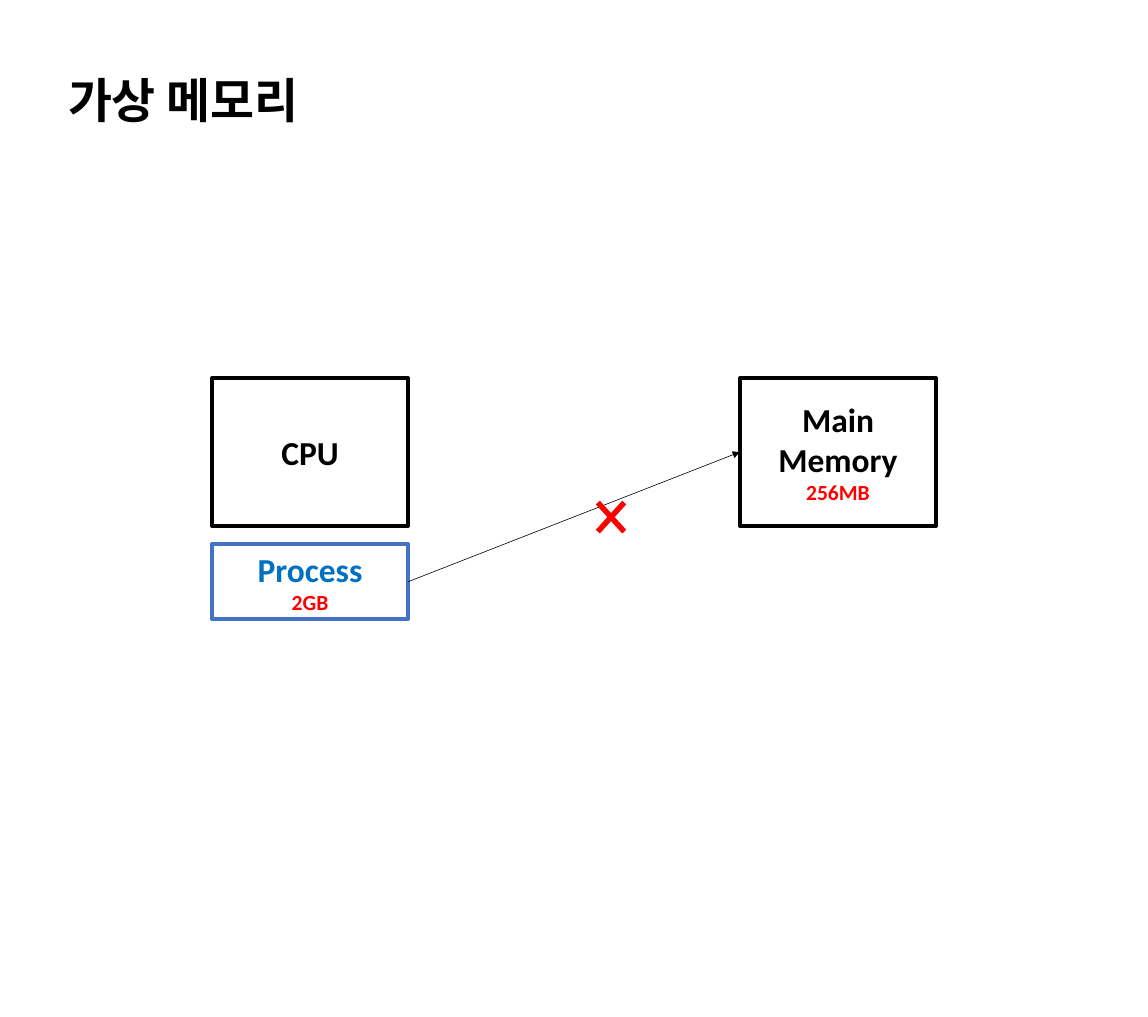
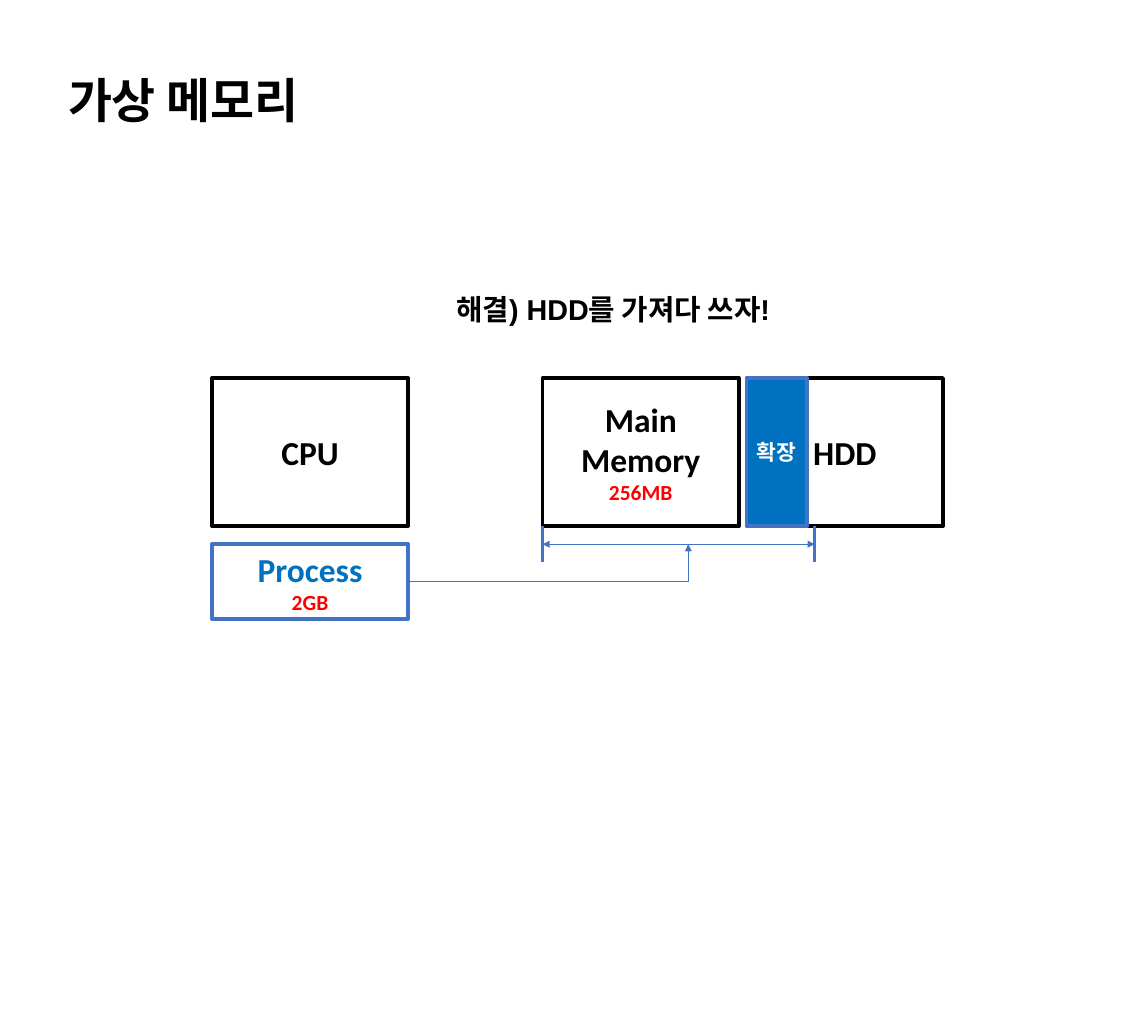
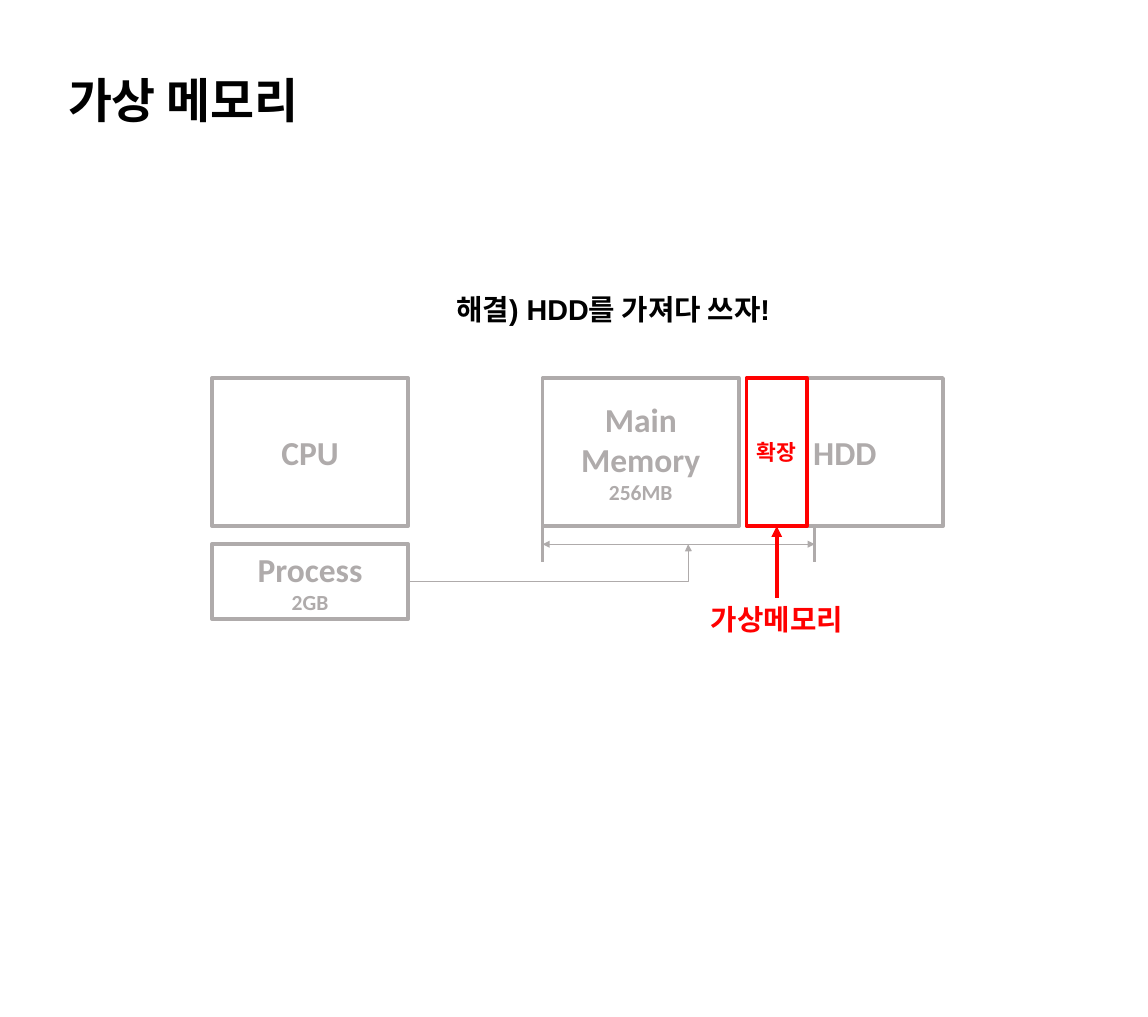
from lxml import etree
from pptx import Presentation
from pptx.dml.color import RGBColor
from pptx.enum.shapes import MSO_CONNECTOR, MSO_SHAPE
from pptx.enum.text import MSO_ANCHOR, MSO_AUTO_SIZE, PP_ALIGN
from pptx.oxml.ns import qn
from pptx.util import Inches, Pt

RECTANGLE, CROSS = MSO_SHAPE.RECTANGLE, MSO_SHAPE.MATH_MULTIPLY
STRAIGHT, ELBOW = MSO_CONNECTOR.STRAIGHT, MSO_CONNECTOR.ELBOW
LEFT, CENTER = PP_ALIGN.LEFT, PP_ALIGN.CENTER
TOP, MIDDLE = MSO_ANCHOR.TOP, MSO_ANCHOR.MIDDLE
FIT_SHAPE = MSO_AUTO_SIZE.SHAPE_TO_FIT_TEXT

COLORS = {"black": "000000", "white": "FFFFFF", "red": "FF0000",
          "blue": "0070C0", "outline": "4472C4", "gray": "AFABAB"}
# Colour of each role in the diagram
VIVID = {"frame": "black", "name": "black", "amount": "red", "process": "blue",
         "link": "outline", "extension_fill": "blue",
         "extension_line": "outline", "extension_text": "white"}
FADED = {**dict.fromkeys(VIVID, "gray"), "extension_fill": None,
         "extension_line": "red", "extension_text": "red"}

THICK, THIN = 3, 0.5
NAME_SIZE, AMOUNT_SIZE = 28, 18

# Boxes are (left, top, width, height) in inches
TITLE_BOX = (0.69, 0.77, 3.13, 0.77)
NOTE_BOX = (5, 3.34, 4.24, 0.5)
BLOCK_WIDTH, BLOCK_HEIGHT = 2.28, 1.72
BLOCK_TOP = 4.39
CPU_BOX = (2.46, BLOCK_TOP, BLOCK_WIDTH, BLOCK_HEIGHT)
FAR_MEMORY_BOX = (8.59, BLOCK_TOP, BLOCK_WIDTH, BLOCK_HEIGHT)
MEMORY_BOX = (6.3, BLOCK_TOP, BLOCK_WIDTH, BLOCK_HEIGHT)
HDD_BOX = (8.67, BLOCK_TOP, BLOCK_WIDTH, BLOCK_HEIGHT)
EXTENSION_BOX = (8.67, BLOCK_TOP, 0.7, BLOCK_HEIGHT)


def rgb(color):
    return RGBColor.from_string(COLORS[color])


def write(shape, lines, alignment=CENTER, anchor=MIDDLE, font="Calibri", **frame_format):
    """Write (text, size, color) lines, one paragraph each, in bold."""
    frame = shape.text_frame
    for name, value in {"vertical_anchor": anchor, **frame_format}.items():
        setattr(frame, name, value)
    for index, (text, size, color) in enumerate(lines):
        paragraph = frame.add_paragraph() if index else frame.paragraphs[0]
        paragraph.alignment = alignment
        run = paragraph.add_run()
        run.text = text
        for name, value in {"name": font, "size": Pt(size), "bold": True}.items():
            setattr(run.font, name, value)
        run.font.color.rgb = rgb(color)


def add_box(slide, box, preset=RECTANGLE, fill=None, line=None):
    shape = slide.shapes.add_shape(preset, *map(Inches, box))
    shape.shadow.inherit = False
    if fill:
        shape.fill.solid()
        shape.fill.fore_color.rgb = rgb(fill)
    else:
        shape.fill.background()
    if line:
        shape.line.color.rgb = rgb(line)
        shape.line.width = Pt(THICK)
    else:
        shape.line.fill.background()
    return shape


def add_line(slide, start, end, color, width, kind=STRAIGHT, arrows=()):
    """Draw a line; arrows names its ends: headEnd (start) and tailEnd (end)."""
    connector = slide.shapes.add_connector(kind, *map(Inches, (*start, *end)))
    connector.line.color.rgb = rgb(color)
    connector.line.width = Pt(width)
    properties = connector._element.spPr
    for arrow in arrows:
        etree.SubElement(properties.find(qn("a:ln")), qn(f"a:{arrow}"), type="triangle")
    etree.SubElement(properties, qn("a:effectLst"))
    return connector


def add_caption(slide, box, text, color):
    caption = slide.shapes.add_textbox(*map(Inches, box))
    write(caption, [(text, 24, color)], anchor=TOP, font="Arial",
          word_wrap=False, auto_size=FIT_SHAPE)


def add_titled_slide(presentation):
    slide = presentation.slides.add_slide(presentation.slide_layouts[5])
    title = slide.shapes.title
    title.left, title.top, title.width, title.height = map(Inches, TITLE_BOX)
    write(title, [("가상 메모리", 40, "black")], LEFT, TOP,
          word_wrap=False, auto_size=FIT_SHAPE)
    return slide


def add_block(slide, box, name, palette):
    block = add_box(slide, box, line=palette["frame"])
    write(block, [(name, NAME_SIZE, palette["name"])])


def add_memory(slide, box, palette):
    memory = add_box(slide, box, line=palette["frame"])
    write(memory, [("Main Memory", NAME_SIZE, palette["name"]),
                   ("256MB", AMOUNT_SIZE, palette["amount"])])


def add_processor(slide, box, palette):
    """CPU with its process below; return the point where the process link starts."""
    left, top, width, height = box
    add_block(slide, box, "CPU", palette)
    process_top, process_height = top + height + 0.21, 0.87
    process = add_box(slide, (left, process_top, width, process_height),
                      line=palette["link"])
    write(process, [("Process", NAME_SIZE, palette["process"]),
                    ("2GB", AMOUNT_SIZE, palette["amount"])])
    return left + width, process_top + process_height / 2


def add_span(slide, box, link_start, color):
    """Dimension line across the box, reached by the process link."""
    left, top, width, height = box
    right, middle = left + width, top + height / 2
    for x in (left, right):
        add_line(slide, (x, top), (x, top + height), color, THICK)
    add_line(slide, (left, middle), (right, middle), color, THIN,
             arrows=("headEnd", "tailEnd"))
    link = add_line(slide, link_start, (left + 1.69, middle), color, THIN,
                    ELBOW, ("tailEnd",))
    # Turn upwards at the far end of the link
    guides = link._element.spPr.find(qn("a:prstGeom")).find(qn("a:avLst"))
    etree.SubElement(guides, qn("a:gd"), name="adj1", fmla="val 100100")


def build_problem_slide(presentation):
    slide = add_titled_slide(presentation)
    link_start = add_processor(slide, CPU_BOX, VIVID)
    add_memory(slide, FAR_MEMORY_BOX, VIVID)
    left, top, _, height = FAR_MEMORY_BOX
    add_line(slide, link_start, (left, top + height / 2), "black", THIN,
             arrows=("tailEnd",))
    cross = add_box(slide, (6.8, 5.68, 0.59, 0.65), CROSS, fill="red")
    cross.adjustments[0] = 0.108


def build_solution_slide(presentation, palette):
    slide = add_titled_slide(presentation)
    link_start = add_processor(slide, CPU_BOX, palette)
    add_memory(slide, MEMORY_BOX, palette)
    add_block(slide, HDD_BOX, "HDD", palette)
    add_caption(slide, NOTE_BOX, "해결) HDD를 가져다 쓰자!", "black")
    extension = add_box(slide, EXTENSION_BOX, fill=palette["extension_fill"],
                        line=palette["extension_line"])
    write(extension, [("확장", AMOUNT_SIZE, palette["extension_text"])])
    span_box = (MEMORY_BOX[0], BLOCK_TOP + BLOCK_HEIGHT, 3.16, 0.42)
    add_span(slide, span_box, link_start, palette["link"])
    return slide


def add_virtual_memory_label(slide, box):
    """Red label with an arrow up to the middle of the box's lower edge."""
    left, top, width, height = box
    center, bottom = left + width / 2, top + height
    label_top, label_width = bottom + 0.83, 1.88
    add_caption(slide, (center - label_width / 2, label_top, label_width, 0.5),
                "가상메모리", "red")
    add_line(slide, (center, label_top), (center, bottom), "red", THICK,
             arrows=("tailEnd",))


presentation = Presentation()
presentation.slide_width, presentation.slide_height = Inches(13.33), Inches(11.81)
build_problem_slide(presentation)
build_solution_slide(presentation, VIVID)
add_virtual_memory_label(build_solution_slide(presentation, FADED), EXTENSION_BOX)
presentation.save("out.pptx")
